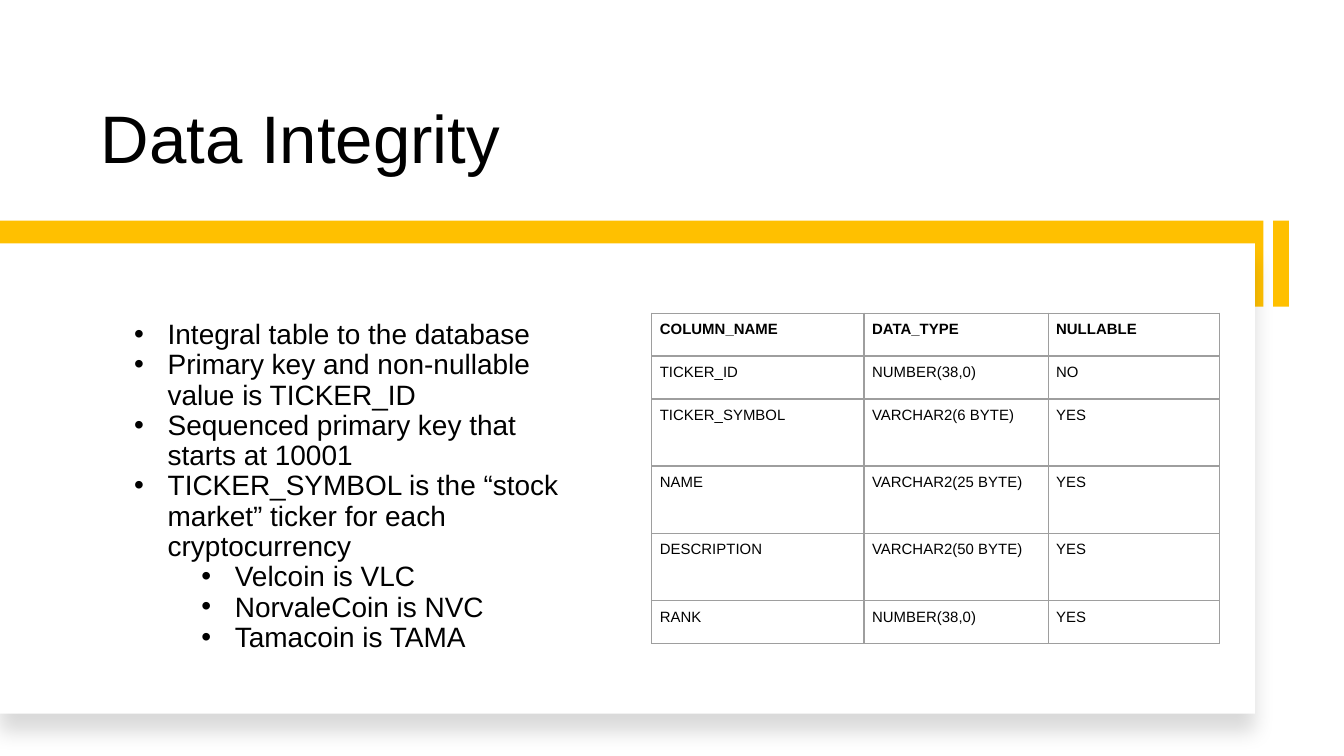
import dataclasses

import pptx
import pptx.dml.color
import pptx.enum.shapes
import pptx.enum.text
import pptx.oxml
import pptx.oxml.ns
import pptx.util
from pptx.util import Cm, Pt

FONT = "Arial"
BLACK, WHITE, GOLD, GREY = "000000", "FFFFFF", "FFC000", "9E9E9E"
NS = pptx.oxml.ns.nsdecls("a")
ANCHOR = pptx.enum.text.MSO_ANCHOR


@dataclasses.dataclass
class Box:
    left: float
    top: float
    width: float
    height: float

    def lengths(self) -> tuple:
        return tuple(Cm(v) for v in dataclasses.astuple(self))


@dataclasses.dataclass
class Panel:
    box: Box
    color: str
    shadow: bool = False


@dataclasses.dataclass
class Bullet:
    text: str
    level: int = 0


PANELS = [
    Panel(Box(0, 4.17, 23.88, 1.63), GOLD),
    Panel(Box(0, 4.6, 23.72, 8.89), WHITE, shadow=True),
    Panel(Box(24.06, 4.17, 0.3, 1.63), GOLD),
]
BULLETS = [
    Bullet("Integral table to the database"),
    Bullet("Primary key and non-nullable value is TICKER_ID"),
    Bullet("Sequenced primary key that starts at 10001"),
    Bullet("TICKER_SYMBOL is the “stock market” ticker for each cryptocurrency"),
    Bullet("Velcoin is VLC", 1),
    Bullet("NorvaleCoin is NVC", 1),
    Bullet("Tamacoin is TAMA", 1),
]
ROWS = [
    ("COLUMN_NAME", "DATA_TYPE", "NULLABLE"),
    ("TICKER_ID", "NUMBER(38,0)", "NO"),
    ("TICKER_SYMBOL", "VARCHAR2(6 BYTE)", "YES"),
    ("NAME", "VARCHAR2(25 BYTE)", "YES"),
    ("DESCRIPTION", "VARCHAR2(50 BYTE)", "YES"),
    ("RANK", "NUMBER(38,0)", "YES"),
]
COL_WIDTHS = [4.01, 3.48, 3.23]
ROW_HEIGHTS = [0.81, 0.81, 1.27, 1.27, 1.27, 0.81]


def rgb(color: str) -> pptx.dml.color.RGBColor:
    return pptx.dml.color.RGBColor.from_string(color)


def apply(obj, **values) -> None:
    for name, value in values.items():
        setattr(obj, name, value)


def set_font(p, size: float, bold: bool = False) -> None:
    for r in p.runs:
        apply(r.font, name=FONT, size=Pt(size), bold=bold)
        r.font.color.rgb = rgb(BLACK)


def add_panel(slide, panel: Panel) -> None:
    sp = slide.shapes.add_shape(
        pptx.enum.shapes.MSO_SHAPE.RECTANGLE, *panel.box.lengths())
    sp.fill.solid()
    sp.fill.fore_color.rgb = rgb(panel.color)
    sp.line.fill.background()
    sp.shadow.inherit = False
    if panel.shadow:
        effects = sp._element.spPr.find(pptx.oxml.ns.qn("a:effectLst"))
        effects.append(pptx.oxml.parse_xml(
            f'<a:outerShdw {NS} blurRad="{Pt(11)}" dist="{Pt(10)}" dir="5400000" '
            f'algn="t" rotWithShape="0"><a:srgbClr val="{BLACK}">'
            '<a:alpha val="15000"/></a:srgbClr></a:outerShdw>'))


def add_title(slide, text: str, box: Box) -> None:
    sp = slide.shapes.title
    apply(sp, **dict(zip(("left", "top", "width", "height"), box.lengths())))
    tf = sp.text_frame
    tf.text = text
    apply(tf, vertical_anchor=ANCHOR.BOTTOM, word_wrap=True,
          auto_size=pptx.enum.text.MSO_AUTO_SIZE.NONE)
    p = tf.paragraphs[0]
    apply(p, alignment=pptx.enum.text.PP_ALIGN.LEFT, line_spacing=0.9)
    set_font(p, 36)


def add_bullets(slide, bullets: list[Bullet], box: Box) -> None:
    tf = slide.shapes.add_textbox(*box.lengths()).text_frame
    apply(tf, word_wrap=True, vertical_anchor=ANCHOR.MIDDLE)
    for i, bullet in enumerate(bullets):
        p = tf.add_paragraph() if i else tf.paragraphs[0]
        p.text = bullet.text
        apply(p, level=bullet.level, line_spacing=0.9)
        pPr = p._p.get_or_add_pPr()
        pPr.set("marL", str(Cm(1.27 * (bullet.level + 1))))
        pPr.set("indent", str(-Cm(0.635)))
        for xml in (f'<a:buClr {NS}><a:srgbClr val="{BLACK}"/></a:buClr>',
                    f'<a:buFont {NS} typeface="{FONT}"/>',
                    f'<a:buChar {NS} char="•"/>'):
            pPr.append(pptx.oxml.parse_xml(xml))
        set_font(p, 15)


def format_cell(cell, text: str, bold: bool) -> None:
    cell.text = text
    sides = ("left", "right", "top", "bottom")
    apply(cell, **{f"margin_{side}": Cm(0.15) for side in sides})
    tcPr = cell._tc.get_or_add_tcPr()
    for side in "LRTB":
        tcPr.append(pptx.oxml.parse_xml(
            f'<a:ln{side} {NS} w="{Pt(0.75)}"><a:solidFill>'
            f'<a:srgbClr val="{GREY}"/></a:solidFill></a:ln{side}>'))
    cell.fill.background()
    set_font(cell.text_frame.paragraphs[0], 8, bold)


def add_grid(slide, rows: list[tuple], left: float, top: float) -> None:
    box = Box(left, top, sum(COL_WIDTHS), sum(ROW_HEIGHTS))
    table = slide.shapes.add_table(
        len(rows), len(COL_WIDTHS), *box.lengths()).table
    apply(table, first_row=False, horz_banding=False)
    for column, width in zip(table.columns, COL_WIDTHS):
        column.width = Cm(width)
    for row, height, texts in zip(table.rows, ROW_HEIGHTS, rows):
        row.height = Cm(height)
        for cell, text in zip(row.cells, texts):
            format_cell(cell, text, bold=texts is rows[0])


def main() -> None:
    prs = pptx.Presentation()
    apply(prs, slide_width=Cm(25.4), slide_height=Cm(14.29))
    slide = prs.slides.add_slide(prs.slide_layouts[5])

    # Title and backdrop
    add_title(slide, "Data Integrity", Box(1.65, 0.81, 20.98, 2.69))
    for panel in PANELS:
        add_panel(slide, panel)

    # Key points on the left, column definitions on the right
    add_bullets(slide, BULLETS, Box(1.65, 5.41, 9.45, 7.59))
    add_grid(slide, ROWS, 12.32, 5.92)

    prs.save("out.pptx")


if __name__ == "__main__":
    main()
